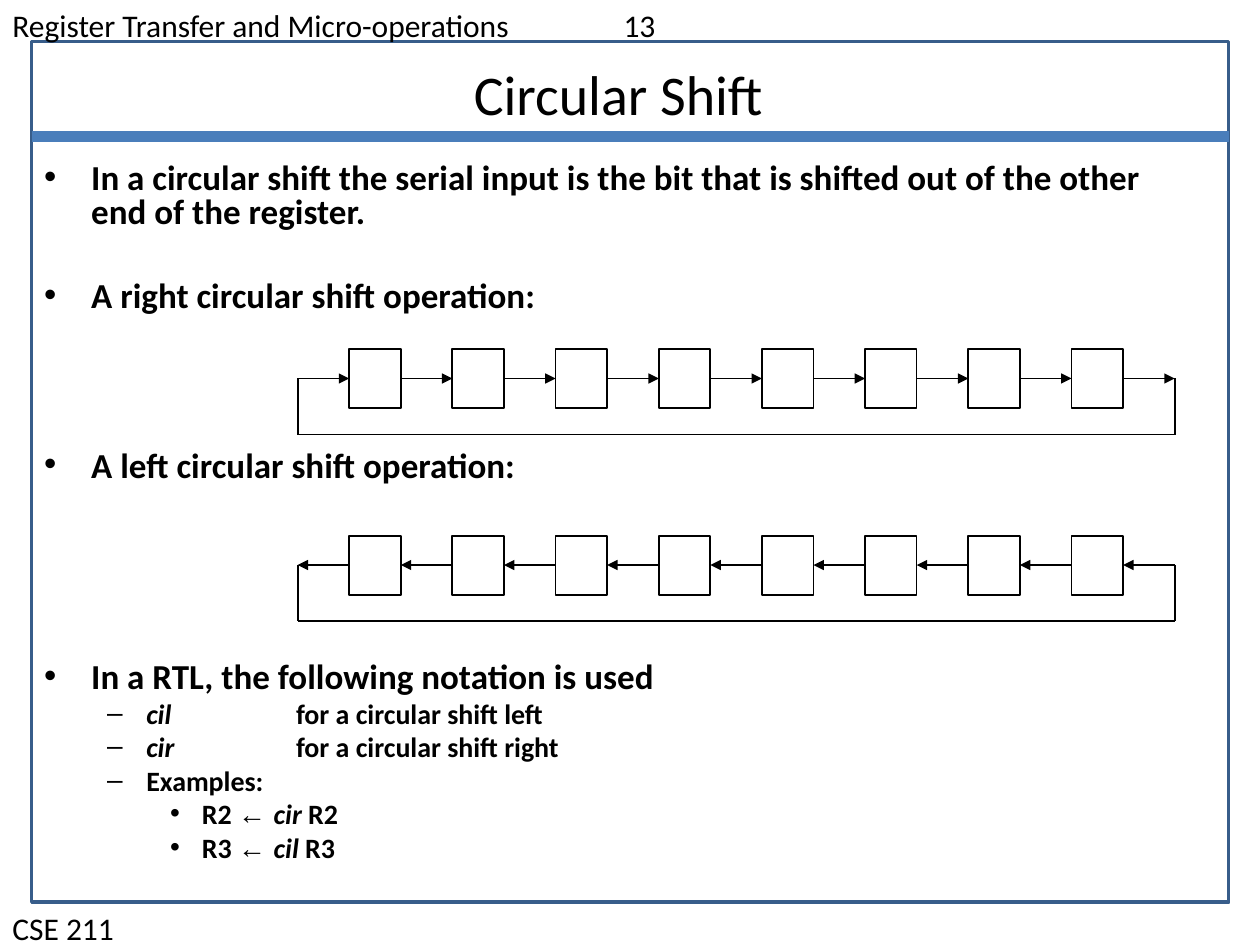
import pptx
import pptx.util
import pptx.dml.color
import pptx.enum.shapes
import pptx.enum.text
import pptx.oxml
import pptx.oxml.ns

Cm, Pt = pptx.util.Cm, pptx.util.Pt
RGB = pptx.dml.color.RGBColor.from_string
RECTANGLE = pptx.enum.shapes.MSO_SHAPE.RECTANGLE
STRAIGHT = pptx.enum.shapes.MSO_CONNECTOR.STRAIGHT
CENTER = pptx.enum.text.PP_ALIGN.CENTER
NAMESPACE = pptx.oxml.ns.nsdecls("a")

THEME = {
    "text": "000000", "frame": "385D8A", "rule": "4A7EBB",
    "font": "Calibri", "arrow font": "Arial",
    "title": 32, "point": 20, "detail": 16, "margin": 18,
}

presentation = pptx.Presentation()
presentation.slide_width, presentation.slide_height = Cm(25.4), Cm(19.05)
slide = presentation.slides.add_slide(presentation.slide_layouts[6])


def add_line(shapes, start, end, color, width, arrow=False):
    """Draw a straight line between two points in centimetres."""
    line = shapes.add_connector(STRAIGHT, *map(Cm, start + end))
    line.line.color.rgb = RGB(color)
    line.line.width = Pt(width)
    if arrow:
        line.line._get_or_add_ln().append(
            pptx.oxml.parse_xml(f'<a:tailEnd {NAMESPACE} type="triangle"/>'))
    line._element.spPr.append(pptx.oxml.parse_xml(f"<a:effectLst {NAMESPACE}/>"))


def add_runs(paragraph, runs, size, bold=False, tab=None):
    """Fill a paragraph with (text, format) runs and set one tab stop."""
    for text, changes in runs:
        run = paragraph.add_run()
        run.text = text
        values = {"name": THEME["font"], "size": Pt(size), "bold": bold, "italic": False}
        for name, value in (values | changes).items():
            setattr(run.font, name, value)
        run.font.color.rgb = RGB(THEME["text"])
    if tab:
        paragraph._p.get_or_add_pPr().append(pptx.oxml.parse_xml(
            f'<a:tabLst {NAMESPACE}><a:tab pos="{Cm(tab)}" algn="l"/></a:tabLst>'))


# Page frame, margin texts and title
frame = slide.shapes.add_shape(RECTANGLE, Cm(0.64), Cm(0.84), Cm(24.13), Cm(17.35))
frame.shadow.inherit = False
frame.fill.background()
frame.line.color.rgb = RGB(THEME["frame"])
frame.line.width = Pt(2)

labels = [
    ("Register Transfer and Micro-operations\t13", (0, 0, 25.4, 1.04), "margin", None, 12.32),
    ("CSE 211", (0, 18.21, 25.4, 1.02), "margin", None, None),
    ("Circular Shift ", (1.9, 1.07, 21.39, 1.63), "title", CENTER, None),
]
for text, place, role, alignment, tab in labels:
    box = slide.shapes.add_textbox(*map(Cm, place))
    box.text_frame.word_wrap = True
    paragraph = box.text_frame.paragraphs[0]
    paragraph.alignment = alignment
    add_runs(paragraph, [(text, {})], THEME[role], tab=tab)

add_line(slide.shapes, (0.64, 2.75), (24.77, 2.75), THEME["rule"], 6.75)

# Body text: level, space before in points, runs
italic, arrow_font = {"italic": True}, {"name": THEME["arrow font"]}
points = [
    (0, 4.8, [("In a circular shift the serial input is the bit that is "
               "shifted out of the other end of the register.", {})]),
    (0, 29, [("A right circular shift operation:", {})]),
    (0, 77.5, [("A left circular shift operation:", {})]),
    (0, 101.5, [("In a RTL, the following notation is used", {})]),
    (1, 3.8, [("cil\t", italic), ("for a circular shift left", {})]),
    (1, 3.8, [("cir\t", italic), ("for a circular shift right", {})]),
    (1, 3.8, [("Examples:", {})]),
    (2, 3.8, [("R2 ", {}), ("← ", arrow_font), ("cir", italic), (" R2", {})]),
    (2, 3.8, [("R3 ", {}), ("← ", arrow_font), ("cil", italic), (" R3", {})]),
]
# Left margin, hanging indent, bullet and text size of each level
levels = [
    (0.95, 0.95, "•", THEME["point"]),
    (2.06, 0.79, "–", THEME["detail"]),
    (3.18, 0.64, "•", THEME["detail"]),
]
body = slide.shapes.add_textbox(Cm(0.64), Cm(3.18), Cm(23.06), Cm(15.72)).text_frame
body.word_wrap = True
for index, (level, space, runs) in enumerate(points):
    paragraph = body.add_paragraph() if index else body.paragraphs[0]
    margin, hanging, bullet, size = levels[level]
    for name, value in {"level": level, "line_spacing": 0.8, "space_before": Pt(space)}.items():
        setattr(paragraph, name, value)
    properties = paragraph._p.get_or_add_pPr()
    properties.set("marL", str(Cm(margin)))
    properties.set("indent", str(-Cm(hanging)))
    for xml in (f'<a:buFont {NAMESPACE} typeface="{THEME["arrow font"]}"/>',
                f'<a:buChar {NAMESPACE} char="{bullet}"/>'):
        properties.append(pptx.oxml.parse_xml(xml))
    add_runs(paragraph, runs, size, bold=True, tab=5.08 if level == 1 else None)

# Shift registers: eight cells, arrows in the gaps, and a return wire
cells, cell_width, cell_height, pitch, first_left = 8, 1.04, 1.19, 2.08, 7.04
wire_left, wire_right = first_left - cell_width, first_left + cells * pitch
for top, shifts_right in ((7.04, True), (10.8, False)):
    register = slide.shapes.add_group_shape().shapes
    wire, bottom = top + 0.59, top + 1.72
    for number in range(cells):
        cell = register.add_shape(RECTANGLE, Cm(first_left + number * pitch), Cm(top),
                                  Cm(cell_width), Cm(cell_height))
        cell.shadow.inherit = False
        cell.fill.background()
        cell.line.color.rgb = RGB(THEME["text"])
        cell.line.width = Pt(1)
    for number in range(cells + 1):
        gap = wire_left + number * pitch
        ends = [(gap, wire), (gap + cell_width, wire)]
        start, end = ends if shifts_right else reversed(ends)
        add_line(register, start, end, THEME["text"], 1, arrow=True)
    corners = [(wire_left, wire), (wire_left, bottom), (wire_right, bottom), (wire_right, wire)]
    for start, end in zip(corners, corners[1:]):
        add_line(register, start, end, THEME["text"], 1)

presentation.save("out.pptx")
